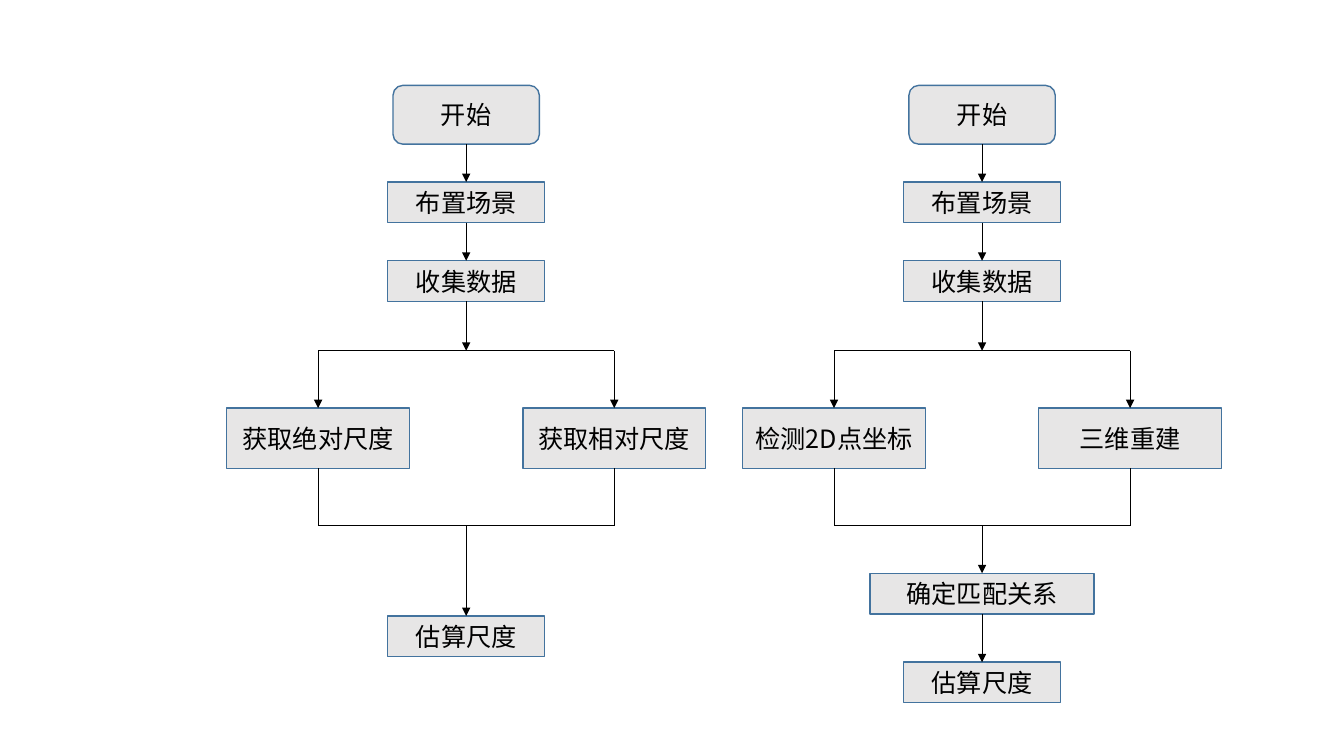
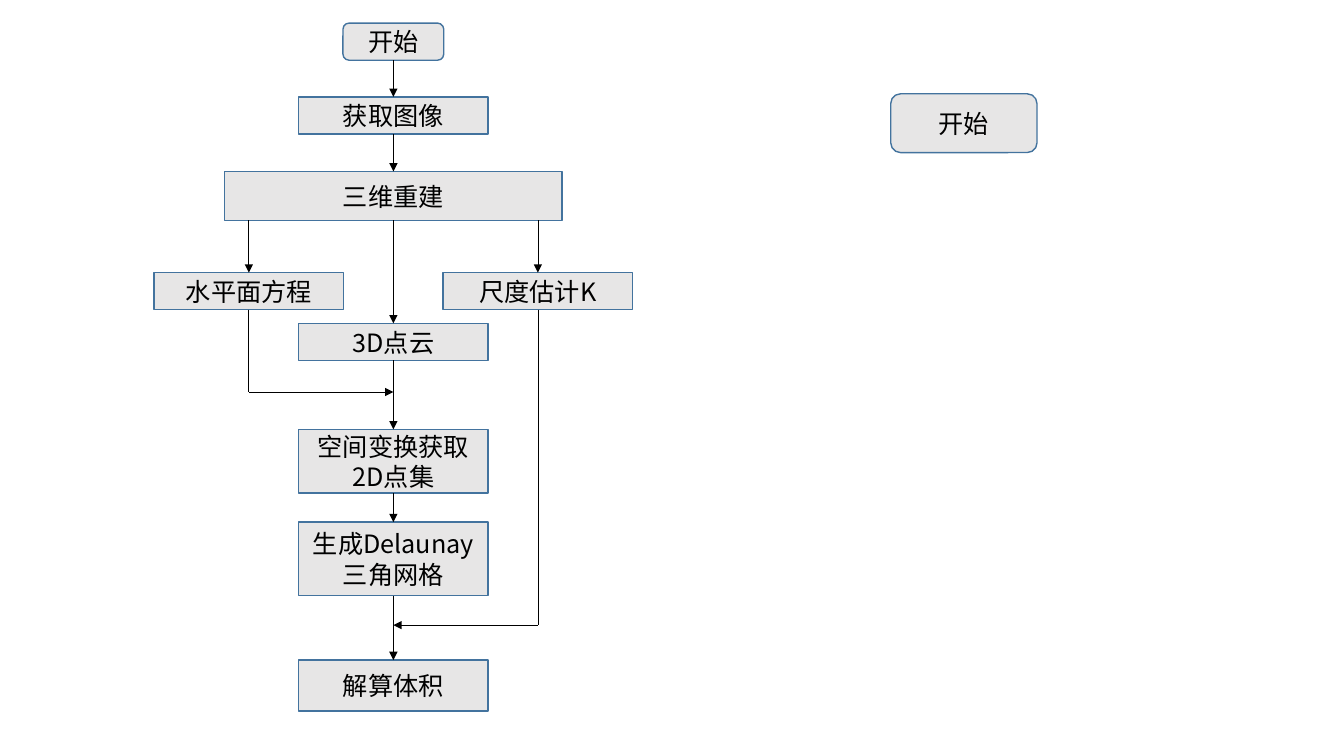
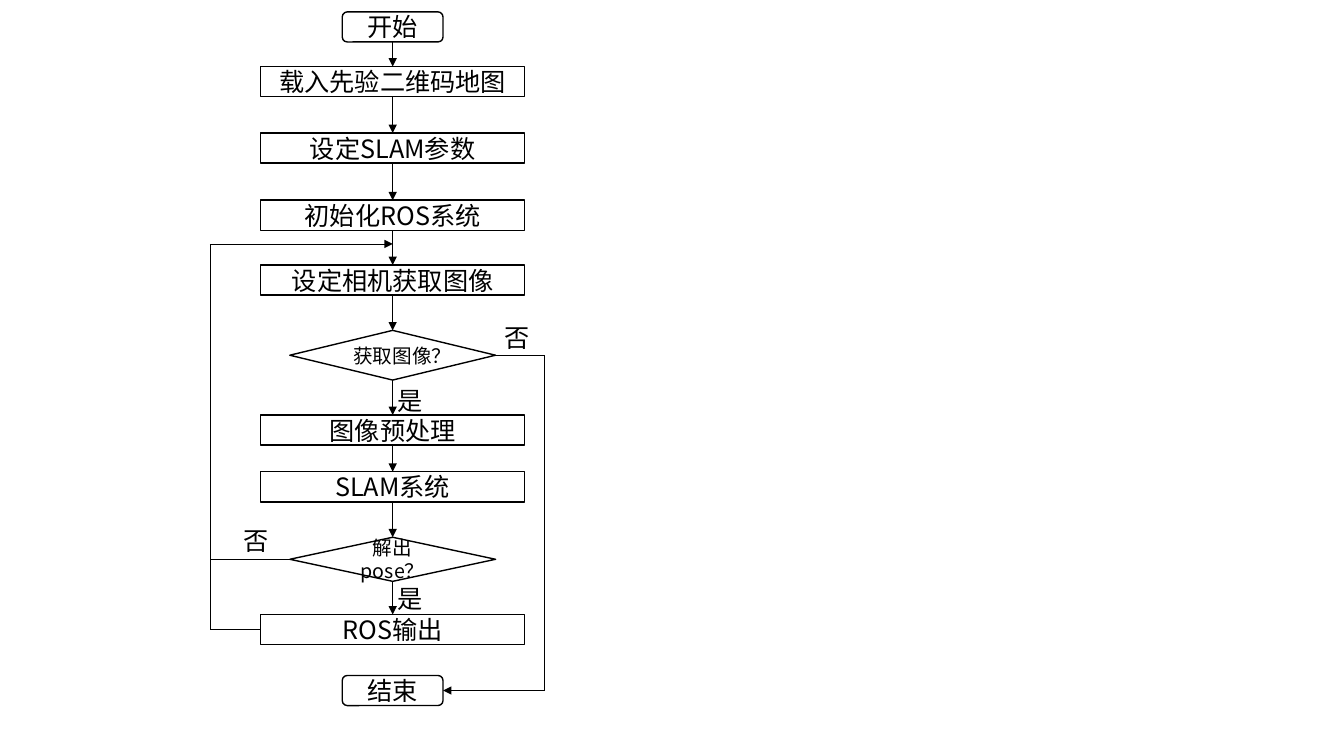
from collections import namedtuple

from lxml import etree
from pptx import Presentation
from pptx.dml.color import RGBColor
from pptx.enum.shapes import MSO_CONNECTOR, MSO_SHAPE
from pptx.enum.text import MSO_ANCHOR, PP_ALIGN
from pptx.oxml.ns import qn
from pptx.util import Pt

RECT = MSO_SHAPE.RECTANGLE
ROUND = MSO_SHAPE.ROUNDED_RECTANGLE
DECISION = MSO_SHAPE.FLOWCHART_DECISION
STRAIGHT = MSO_CONNECTOR.STRAIGHT
MIDDLE = MSO_ANCHOR.MIDDLE
CENTER, LEFT = PP_ALIGN.CENTER, PP_ALIGN.LEFT

TOP_SIDE, LEFT_SIDE, BOTTOM_SIDE, RIGHT_SIDE = range(4)
SIDE_SHARES = [(0.5, 0), (0, 0.5), (0.5, 1), (1, 0.5)]

FONT = "Noto Sans CJK SC"
INK = "000000"
GREY = {"fill": "E7E6E6", "line": "43739E"}
PLAIN = {"fill": "FFFFFF", "line": INK}
NODE_FRAME = {"word_wrap": True, "vertical_anchor": MIDDLE}

Box = namedtuple("Box", "left top width")
Port = namedtuple("Port", "node side")
Step = namedtuple("Step", "text top width height kind", defaults=[RECT])


def color(hex_string):
    return RGBColor.from_string(hex_string)


# Shared parts
def write(shape, text, size, align):
    paragraph = shape.text_frame.paragraphs[0]
    paragraph.alignment = align
    run = paragraph.add_run()
    run.text = text
    for name, value in {"name": FONT, "size": Pt(size)}.items():
        setattr(run.font, name, value)
    run.font.color.rgb = color(INK)
    etree.SubElement(run.font._element, qn("a:ea")).set("typeface", FONT)


def add_node(slide, center, top, step, style):
    node = slide.shapes.add_shape(
        step.kind, Pt(center - step.width / 2), Pt(top + step.top),
        Pt(step.width), Pt(step.height))
    node.shadow.inherit = False
    node.fill.solid()
    node.fill.fore_color.rgb = color(style["fill"])
    node.line.color.rgb = color(style["line"])
    node.line.width = Pt(1)
    for name, value in NODE_FRAME.items():
        setattr(node.text_frame, name, value)
    write(node, step.text, 14 if step.kind == DECISION else 18, CENTER)
    return node


def add_label(slide, left, top, text):
    label = slide.shapes.add_textbox(Pt(left), Pt(top), Pt(21), Pt(29))
    label.text_frame.word_wrap = True
    write(label, text, 18, LEFT)


def locate(end):
    """Position of a line end, given as a Port or as (x, y) in points."""
    if not isinstance(end, Port):
        return Pt(end[0]), Pt(end[1])
    across, down = SIDE_SHARES[end.side]
    node = end.node
    return (node.left + int(node.width * across),
            node.top + int(node.height * down))


def add_line(slide, start, end, arrow=False):
    line = slide.shapes.add_connector(STRAIGHT, *locate(start), *locate(end))
    for port, join in ((start, line.begin_connect), (end, line.end_connect)):
        if isinstance(port, Port):
            join(*port)
    line.line.color.rgb = color(INK)
    line.line.width = Pt(0.5)
    if arrow:
        outline = line.line._get_or_add_ln()
        etree.SubElement(outline, qn("a:tailEnd")).set("type", "triangle")
    etree.SubElement(line._element.spPr, qn("a:effectLst"))


def add_path(slide, *stops, arrow=False):
    """Straight pieces through all stops; only the last one has a head."""
    for index in range(1, len(stops)):
        is_last = index == len(stops) - 1
        add_line(slide, stops[index - 1], stops[index], arrow and is_last)


def add_chain(slide, center, top, steps, style):
    """Steps below each other on one axis, joined by arrows."""
    nodes = [add_node(slide, center, top, step, style) for step in steps]
    for upper, lower in zip(nodes, nodes[1:]):
        add_line(slide, Port(upper, BOTTOM_SIDE), Port(lower, TOP_SIDE), True)
    return nodes


# Flow that splits into two branches and merges again
def scale_flow(slide, box, branch_texts, closing_steps):
    left, top, width = box
    axis = left + width / 2
    branch_width = 130.5
    split_y, merge_y = top + 189.5, top + 314.5
    opening = add_chain(slide, axis, top, [
        Step("开始", 0, 104.5, 42, ROUND),
        Step("布置场景", 69, 112, 29),
        Step("收集数据", 125.25, 112, 29),
    ], GREY)
    closing = add_chain(slide, axis, top, closing_steps, GREY)

    branch_axes = (left + branch_width / 2, left + width - branch_width / 2)
    for branch_axis, text in zip(branch_axes, branch_texts):
        branch = add_node(slide, branch_axis, top,
                          Step(text, 230.5, branch_width, 43), GREY)
        add_line(slide, (branch_axis, split_y), Port(branch, TOP_SIDE), True)
        add_line(slide, Port(branch, BOTTOM_SIDE), (branch_axis, merge_y))
    for y in (split_y, merge_y):
        add_line(slide, (branch_axes[0], y), (branch_axes[1], y))
    add_line(slide, Port(opening[-1], BOTTOM_SIDE), (axis, split_y), True)
    add_line(slide, (axis, merge_y), Port(closing[0], TOP_SIDE), True)


# Flow with a main axis and two side results that rejoin it
def volume_flow(slide, box):
    left, top, width = box
    axis = left + width / 2
    step_width, step_height = 135.5, 26.5
    add_chain(slide, axis, top, [
        Step("开始", 0, 72, step_height, ROUND),
        Step("获取图像", 52.75, step_width, step_height),
        Step("三维重建", 106, 241, 35),
        Step("3D点云", 214.5, step_width, step_height),
        Step("空间变换获取2D点集", 290.25, step_width, 45.5),
        Step("生成Delaunay三角网格", 356.5, step_width, 52.5),
        Step("解算体积", 455, step_width, 36.5),
    ], GREY)
    sides = (("水平面方程", left + step_width / 2, 263.5),
             ("尺度估计K", left + width - step_width / 2, 430))
    for text, side_axis, rejoin in sides:
        result = add_node(slide, side_axis, top,
                          Step(text, 178.25, step_width, step_height), GREY)
        add_line(slide, (side_axis, top + 141), Port(result, TOP_SIDE), True)
        add_path(slide, Port(result, BOTTOM_SIDE), (side_axis, top + rejoin),
                 (axis, top + rejoin), arrow=True)


# Flow with decisions between a return rail and an exit rail
def pose_flow(slide, box):
    left, top, width = box
    axis, right = left + 130.5, left + width
    step_width, step_height = 188.5, 21.5
    rows = [("载入先验二维码地图", 39), ("设定SLAM参数", 86.5),
            ("初始化ROS系统", 134.5), ("设定相机获取图像", 180.75),
            ("获取图像？", 227.5, 35.5), ("图像预处理", 288),
            ("SLAM系统", 328.5), ("解出pose？", 375.25, 31.5),
            ("ROS输出", 430.5)]
    steps = [Step(text, y, 147, height[0], DECISION) if height
             else Step(text, y, step_width, step_height)
             for text, y, *height in rows]
    start = Step("开始", 0, 72, step_height, ROUND)
    nodes = add_chain(slide, axis, top, [start] + steps, PLAIN)
    image_check, pose_check, output = nodes[5], nodes[8], nodes[9]
    finish = add_node(slide, axis, top, start._replace(text="结束", top=474),
                      PLAIN)

    # Return rail
    return_y, output_y = top + 165.75, top + 430.5 + step_height / 2
    pose_y = top + 375.25 + 31.5 / 2
    add_path(slide, Port(output, LEFT_SIDE), (left, output_y),
             (left, return_y), (axis, return_y), arrow=True)
    add_line(slide, Port(pose_check, LEFT_SIDE), (left, pose_y))

    # Exit rail
    add_path(slide, Port(image_check, RIGHT_SIDE),
             (right, top + 227.5 + 35.5 / 2),
             (right, top + 474 + step_height / 2),
             Port(finish, RIGHT_SIDE), arrow=True)

    for x, y, answer in ((126.5, 263.5, "是"), (126.5, 404.5, "是"),
                         (16.5, 363, "否"), (203, 218, "否")):
        add_label(slide, left + x, top + y, answer)


def main():
    deck = Presentation()
    deck.slide_width, deck.slide_height = Pt(960), Pt(540)
    blank = deck.slide_layouts[6]
    scale, volume, pose = [deck.slides.add_slide(blank) for _ in range(3)]

    estimate = Step("估算尺度", 379, 112, 29)
    scale_flow(scale, Box(162, 61, 342), ("获取绝对尺度", "获取相对尺度"),
               [estimate])
    scale_flow(scale, Box(530.5, 61, 342), ("检测2D点坐标", "三维重建"),
               [Step("确定匹配关系", 348.5, 160, 29),
                estimate._replace(top=412)])

    volume_flow(volume, Box(110, 16.5, 342))
    add_node(volume, 688.5, 67, Step("开始", 0, 104.5, 42, ROUND), GREY)

    pose_flow(pose, Box(150, 8.5, 239))
    deck.save("out.pptx")


if __name__ == "__main__":
    main()
